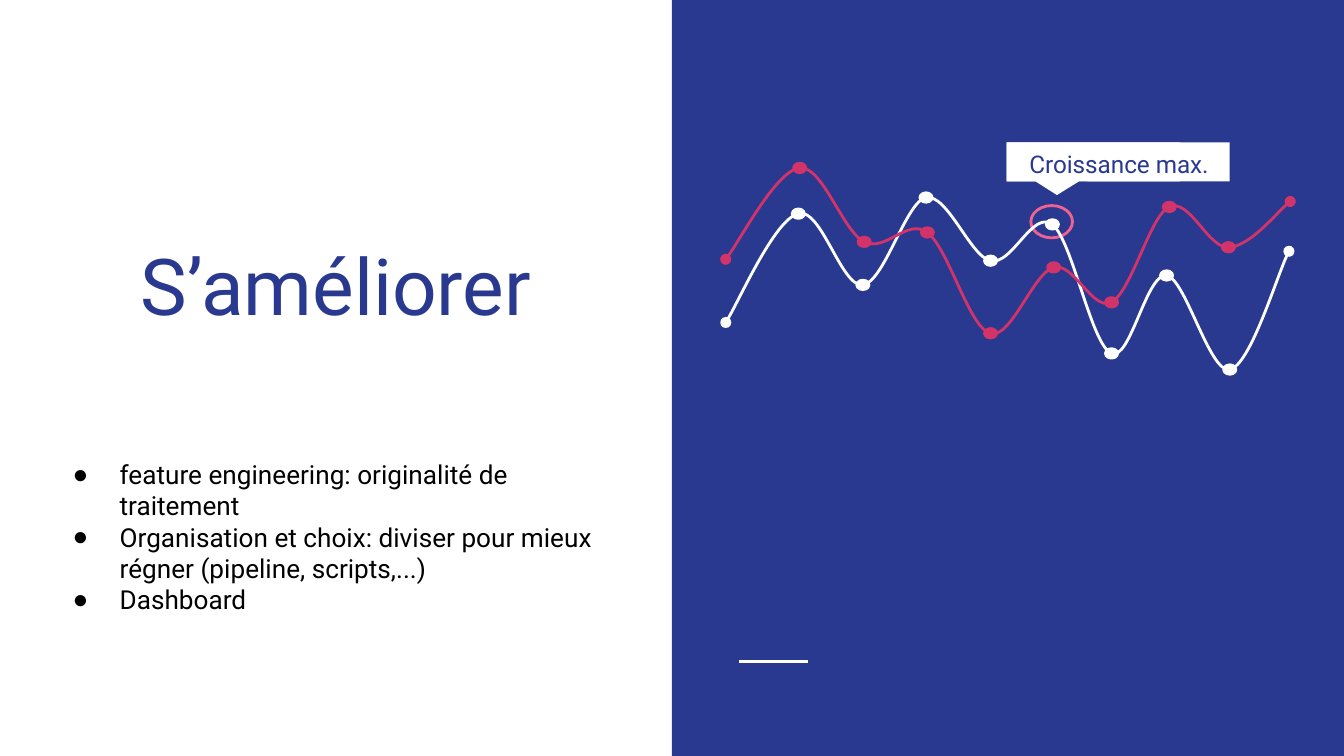
import pptx
import pptx.util
import pptx.dml.color
import pptx.enum.shapes
import pptx.enum.text
import pptx.oxml
import pptx.oxml.ns
from lxml import etree

Inches = pptx.util.Inches
Pt = pptx.util.Pt
qn = pptx.oxml.ns.qn
RGBColor = pptx.dml.color.RGBColor
Preset = pptx.enum.shapes.MSO_SHAPE
Align = pptx.enum.text.PP_ALIGN
Anchor = pptx.enum.text.MSO_ANCHOR

NAVY = RGBColor(0x2A, 0x39, 0x90)
WHITE = RGBColor(0xFF, 0xFF, 0xFF)
BLACK = RGBColor(0x00, 0x00, 0x00)
CRIMSON = RGBColor(0xD2, 0x33, 0x69)
PINK = RGBColor(0xF0, 0x62, 0x92)

WIDTH = 10
HEIGHT = WIDTH * 9 / 16

WHITE_CURVE = [
    (5.4, 2.4),
    (5.49, 2.26), (5.77, 1.63), (5.94, 1.59),
    (6.11, 1.54), (6.26, 2.14), (6.42, 2.12),
    (6.58, 2.1), (6.74, 1.5), (6.89, 1.47),
    (7.05, 1.44), (7.22, 1.91), (7.37, 1.94),
    (7.53, 1.98), (7.68, 1.56), (7.83, 1.67),
    (7.98, 1.79), (8.12, 2.57), (8.27, 2.63),
    (8.41, 2.69), (8.53, 2.03), (8.68, 2.05),
    (8.82, 2.07), (9, 2.78), (9.15, 2.75),
    (9.3, 2.72), (9.51, 2.02), (9.59, 1.87),
]
CRIMSON_CURVE = [
    (5.4, 1.93),
    (5.49, 1.82), (5.78, 1.27), (5.95, 1.25),
    (6.12, 1.23), (6.27, 1.72), (6.43, 1.8),
    (6.59, 1.88), (6.75, 1.62), (6.9, 1.73),
    (7.06, 1.85), (7.21, 2.44), (7.37, 2.48),
    (7.52, 2.53), (7.69, 2.03), (7.84, 1.99),
    (7.99, 1.95), (8.13, 2.32), (8.27, 2.25),
    (8.42, 2.17), (8.56, 1.6), (8.7, 1.54),
    (8.85, 1.47), (8.99, 1.85), (9.14, 1.84),
    (9.29, 1.84), (9.52, 1.56), (9.6, 1.5),
]
IMPROVEMENTS = [
    "feature engineering: originalité de traitement",
    "Organisation et choix: diviser pour mieux régner (pipeline, scripts,...)",
    "Dashboard",
]


class SlideBuilder:
    font_name = "Roboto"
    line_width = Pt(1.5)
    marker_size = (0.09, 0.07)

    def __init__(self, slide):
        self.slide = slide

    def paint(self, shape, fill=None, line=None):
        shape.shadow.inherit = False
        if fill is None:
            shape.fill.background()
        else:
            shape.fill.solid()
            shape.fill.fore_color.rgb = fill
        if line is None:
            shape.line.fill.background()
        else:
            shape.line.color.rgb = line
            shape.line.width = self.line_width

    def shape(self, preset, box, fill=None, line=None, shapes=None):
        target = self.slide.shapes if shapes is None else shapes
        shape = target.add_shape(preset, *map(Inches, box))
        self.paint(shape, fill, line)
        return shape

    def callout(self, box, tail):
        callout = self.shape(Preset.ROUNDED_RECTANGULAR_CALLOUT, box, WHITE)
        for index, value in enumerate((*tail, 0)):
            callout.adjustments[index] = value

    def rule(self, start, end, color):
        rule = self.slide.shapes.add_connector(
            pptx.enum.shapes.MSO_CONNECTOR.STRAIGHT, *map(Inches, start + end))
        rule.line.color.rgb = color
        rule.line.width = self.line_width
        etree.SubElement(rule.element.spPr, qn("a:effectLst"))

    def curve(self, points, color):
        series = self.slide.shapes.add_group_shape().shapes
        vertices = [(Inches(x), Inches(y)) for x, y in points]
        builder = series.build_freeform(*vertices[0])
        builder.add_line_segments(vertices[1:], close=False)
        curve = builder.convert_to_shape()
        self.paint(curve, line=color)

        outline = next(curve.element.iter(qn("a:path")))
        segments = outline.findall(qn("a:lnTo"))
        for first in range(0, len(segments), 3):
            bezier = etree.SubElement(outline, qn("a:cubicBezTo"))
            for segment in segments[first:first + 3]:
                bezier.append(segment[0])
                outline.remove(segment)
        stroke = curve.element.spPr.find(qn("a:ln"))
        for end in ("a:headEnd", "a:tailEnd"):
            etree.SubElement(stroke, qn(end), type="oval")

        width, height = self.marker_size
        for x, y in points[3:-1:3]:
            self.shape(Preset.OVAL, (x - width / 2, y - height / 2, width, height),
                       color, color, series)

    def text(self, placeholder, box, lines, size, color, anchor, align, spacing=1.0, bullet=None):
        placeholder.left, placeholder.top, placeholder.width, placeholder.height = map(Inches, box)
        tree = placeholder.element.getparent()
        tree.append(placeholder.element)
        frame = placeholder.text_frame
        frame.text = "\n".join(lines)
        frame.word_wrap = True
        frame.auto_size = pptx.enum.text.MSO_AUTO_SIZE.NONE
        frame.vertical_anchor = anchor
        frame.margin_left = frame.margin_right = Inches(0.1)
        frame.margin_top = frame.margin_bottom = Inches(0.1)
        for paragraph in frame.paragraphs:
            paragraph.alignment = align
            paragraph.line_spacing = spacing
            paragraph.space_before = paragraph.space_after = Pt(0)
            paragraph.font.name = self.font_name
            paragraph.font.size = Pt(size)
            paragraph.font.color.rgb = color
            self.bullet(paragraph, bullet, color)

    def bullet(self, paragraph, character, color):
        properties = paragraph._p.get_or_add_pPr()
        indent = (0.5, -0.35) if character else (0, 0)
        for name, value in zip(("marL", "indent"), indent):
            properties.set(name, str(Inches(value)))
        default_font = properties.find(qn("a:defRPr"))
        if character:
            bullet_color = etree.Element(qn("a:buClr"))
            etree.SubElement(bullet_color, qn("a:srgbClr"), val=str(color))
            marks = [bullet_color, etree.Element(qn("a:buChar"), char=character)]
        else:
            marks = [etree.Element(qn("a:buNone"))]
        for mark in marks:
            default_font.addprevious(mark)


def main():
    presentation = pptx.Presentation()
    presentation.slide_width = Inches(WIDTH)
    presentation.slide_height = Inches(HEIGHT)
    slide = presentation.slides.add_slide(presentation.slide_layouts[3])
    slide.background.fill.solid()
    slide.background.fill.fore_color.rgb = WHITE
    title, improvements, peak_label = slide.placeholders
    builder = SlideBuilder(slide)

    builder.shape(Preset.RECTANGLE, (WIDTH / 2, 0, WIDTH / 2, HEIGHT), NAVY)
    builder.rule((5.5, 4.92), (6.01, 4.92), WHITE)
    builder.callout((7.49, 1.06, 1.66, 0.29), (-0.21, 0.49))
    builder.shape(Preset.OVAL, (7.67, 1.53, 0.31, 0.24), line=PINK)
    builder.text(title, (0.29, 1.26, 4.42, 1.71), ["S’améliorer"], 42, NAVY,
                 Anchor.MIDDLE, Align.CENTER)
    builder.curve(WHITE_CURVE, WHITE)
    builder.callout((7.49, 1.06, 1.29, 0.29), (-0.21, 0.85))
    builder.curve(CRIMSON_CURVE, CRIMSON)
    builder.text(peak_label, (7.49, 1.08, 1.67, 0.24), ["Croissance max."], 13, NAVY,
                 Anchor.MIDDLE, Align.CENTER, spacing=1.15)
    builder.text(improvements, (0.29, 3.31, 4.42, 1.38), IMPROVEMENTS, 14, BLACK,
                 Anchor.TOP, Align.LEFT, bullet="●")

    presentation.save("out.pptx")


if __name__ == "__main__":
    main()
